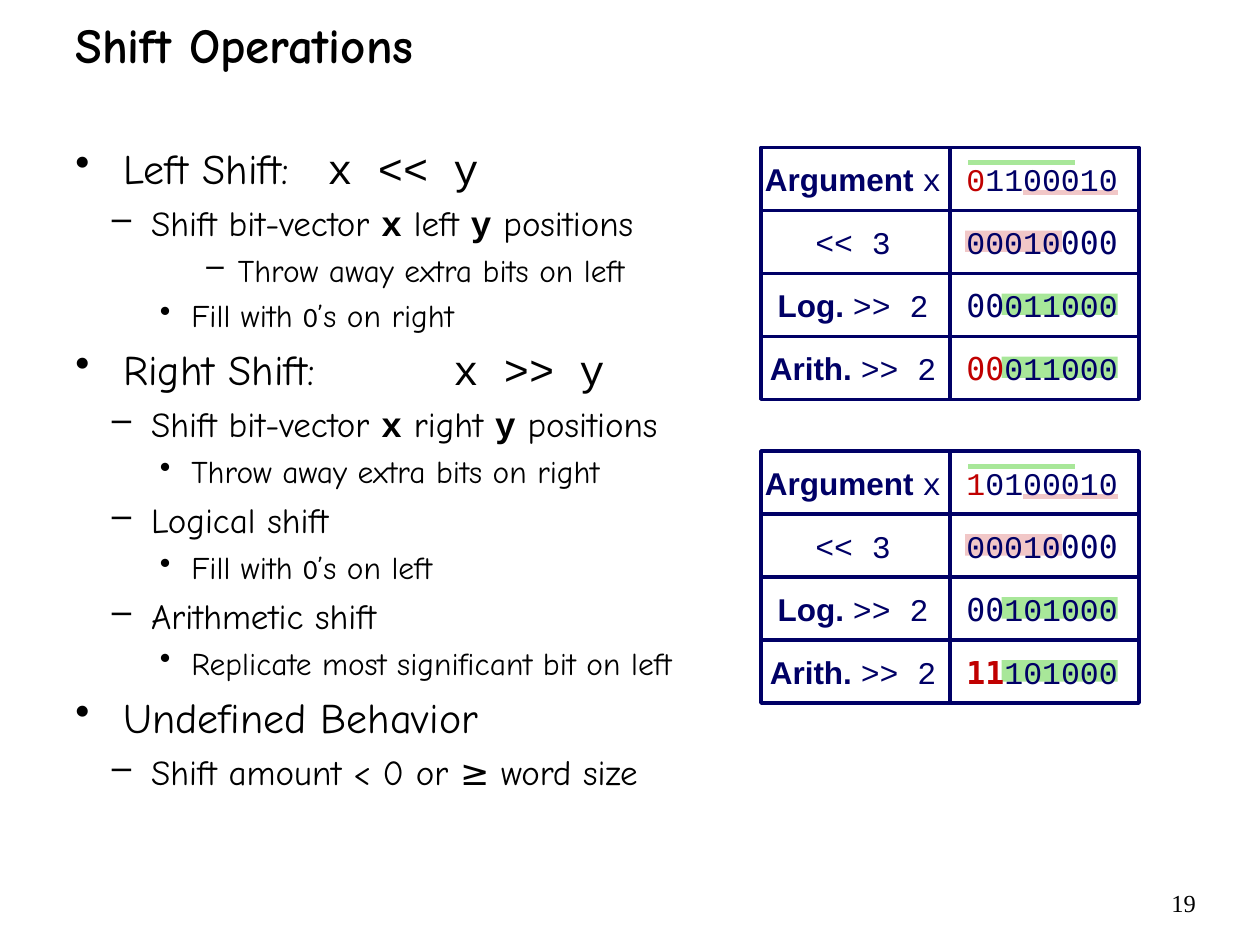
from lxml import etree
from pptx import Presentation
from pptx import util as u
from pptx.dml.color import RGBColor
from pptx.enum import shapes, text
from pptx.oxml.ns import qn

COMIC, MONO, DEJA = "Comic Neue", "Courier New", "DejaVu Sans Mono"
BLACK, NAVY, RED, GREEN, PINK = "000000", "000066", "C00000", "A8E799", "F1C7C7"


def hue(code):
    return RGBColor.from_string(code)


def write(para, runs):
    for words, size, face, tint, bold in runs:
        run = para.add_run()
        run.text = words
        run.font.size = u.Pt(size)
        run.font.name = face
        run.font.color.rgb = hue(tint)
        run.font.bold = bold


deck = Presentation()
deck.slide_width, deck.slide_height = u.Inches(10), u.Inches(7.5)
slide = deck.slides.add_slide(deck.slide_layouts[6])
items = slide.shapes

title = items.add_textbox(u.Inches(0.5), 0, u.Inches(9.08), u.Inches(0.7)).text_frame
title.word_wrap = True
title.vertical_anchor = text.MSO_ANCHOR.MIDDLE
write(title.paragraphs[0], [("Shift Operations", 28, COMIC, BLACK, True)])

styles = {
    0: (24, 0.38, 0.38, "•"),
    1: (20, 0.6, 0.31, "–"),
    2: (18, 0.92, 0.25, "•"),
    3: (18, 1.29, 0.25, "–"),
}
code = (MONO, 24, False)
var = (MONO, 20, True)
zero = ("Calibri", 16, False)
points = [
    (0, 2, [("Left Shift: \t",), ("x << y", code)]),
    (1, 0, [("Shift bit-vector ",), ("x", var), (" left ",), ("y", var), (" positions",)]),
    (3, 0, [("Throw away extra bits on left",)]),
    (2, 0, [("Fill with ",), ("0", zero), ("’s on right",)]),
    (0, 3, [("Right Shift: \t",), ("x >> y", code)]),
    (1, 0, [("Shift bit-vector ",), ("x", var), (" right ",), ("y", var), (" positions",)]),
    (2, 0, [("Throw away extra bits on right",)]),
    (1, 0, [("Logical shift",)]),
    (2, 0, [("Fill with ",), ("0", zero), ("’s on left",)]),
    (1, 0, [("Arithmetic shift",)]),
    (2, 0, [("Replicate most significant bit on left",)]),
    (0, 0, [("Undefined Behavior",)]),
    (1, 0, [("Shift amount < 0 or ≥ word size",)]),
]
body = items.add_textbox(u.Inches(0.5), u.Inches(1.08), u.Inches(9.08), u.Inches(5.83)).text_frame
body.word_wrap = True
for n, (level, tab, parts) in enumerate(points):
    para = body.paragraphs[0] if n == 0 else body.add_paragraph()
    size, left, hang, mark = styles[level]
    para.level = level
    props = para._p.get_or_add_pPr()
    props.set("marL", str(u.Inches(left)))
    props.set("indent", str(-u.Inches(hang)))
    etree.SubElement(props, qn("a:buChar"), char=mark)
    if tab:
        tabs = etree.SubElement(props, qn("a:tabLst"))
        etree.SubElement(tabs, qn("a:tab"), pos=str(u.Inches(tab)), algn="l")
    if n:
        para.space_before = u.Pt(0.24 * size)
    for words, *kind in parts:
        face, points_high, bold = kind[0] if kind else (COMIC, size, False)
        write(para, [(words, points_high, face, BLACK, bold)])

labels = [("Argument ", "x"), ("", "<< 3"), ("Log. ", ">> 2"), ("Arith. ", ">> 2")]
bands = [(1, 7.66, 0.77, PINK), (2, 7.95, 0.92, GREEN), (3, 7.95, 0.92, GREEN)]
marks = [(8.87, 8.12, 0.36, PINK), (8.53, 7.68, 0.12, GREEN)]
grids = [(1.17, "0", "1100010", "011000", "00", False),
         (3.58, "1", "0100010", "101000", "11", True)]
side, high = 1.5, 0.5

for top, sign, rest, tail, fill, bold in grids:
    for row, left, wide, tint in bands:
        band = items.add_shape(shapes.MSO_SHAPE.RECTANGLE, u.Inches(left),
                               u.Inches(top + row * high + 0.16), u.Inches(wide), u.Inches(0.17))
        band.shadow.inherit = False
        band.fill.solid()
        band.fill.fore_color.rgb = hue(tint)
        band.line.fill.background()
    for start, end, drop, tint in marks:
        y = u.Inches(top + drop)
        line = items.add_connector(shapes.MSO_CONNECTOR.STRAIGHT, u.Inches(start), y, u.Inches(end), y)
        line.line.color.rgb = hue(tint)
        line.line.width = u.Pt(3)
        etree.SubElement(line._element.spPr, qn("a:effectLst"))
    values = [
        [(sign, 18, MONO, RED, False), (rest, 18, MONO, NAVY, False)],
        [("00010", 18, MONO, NAVY, False), ("000", 18, DEJA, NAVY, False)],
        [("00", 18, DEJA, NAVY, False), (tail, 18, MONO, NAVY, False)],
        [(fill, 18, DEJA, RED, bold), (tail, 18, MONO, NAVY, False)],
    ]
    for row, ((name, sym), value) in enumerate(zip(labels, values)):
        label = [(name, 18, "Arial", NAVY, True)] if name else []
        label.append((sym, 18, MONO, NAVY, False))
        for col, runs in enumerate((label, value)):
            cell = items.add_shape(shapes.MSO_SHAPE.RECTANGLE, u.Inches(6.04 + col * side),
                                   u.Inches(top + row * high), u.Inches(side), u.Inches(high))
            cell.shadow.inherit = False
            cell.fill.background()
            cell.line.color.rgb = hue(NAVY)
            cell.line.width = u.Pt(2)
            frame = cell.text_frame
            frame.word_wrap = False
            frame.vertical_anchor = text.MSO_ANCHOR.MIDDLE
            frame.margin_left = frame.margin_top = frame.margin_bottom = u.Inches(0.06)
            frame.margin_right = u.Inches(0.1)
            frame.paragraphs[0].alignment = text.PP_ALIGN.CENTER
            write(frame.paragraphs[0], runs)

page = items.add_textbox(u.Inches(8.17), u.Inches(7), u.Inches(1.42), u.Inches(0.28)).text_frame
page.word_wrap = True
page.paragraphs[0].alignment = text.PP_ALIGN.RIGHT
write(page.paragraphs[0], [("19", 14, "Times New Roman", BLACK, False)])

deck.save("out.pptx")
